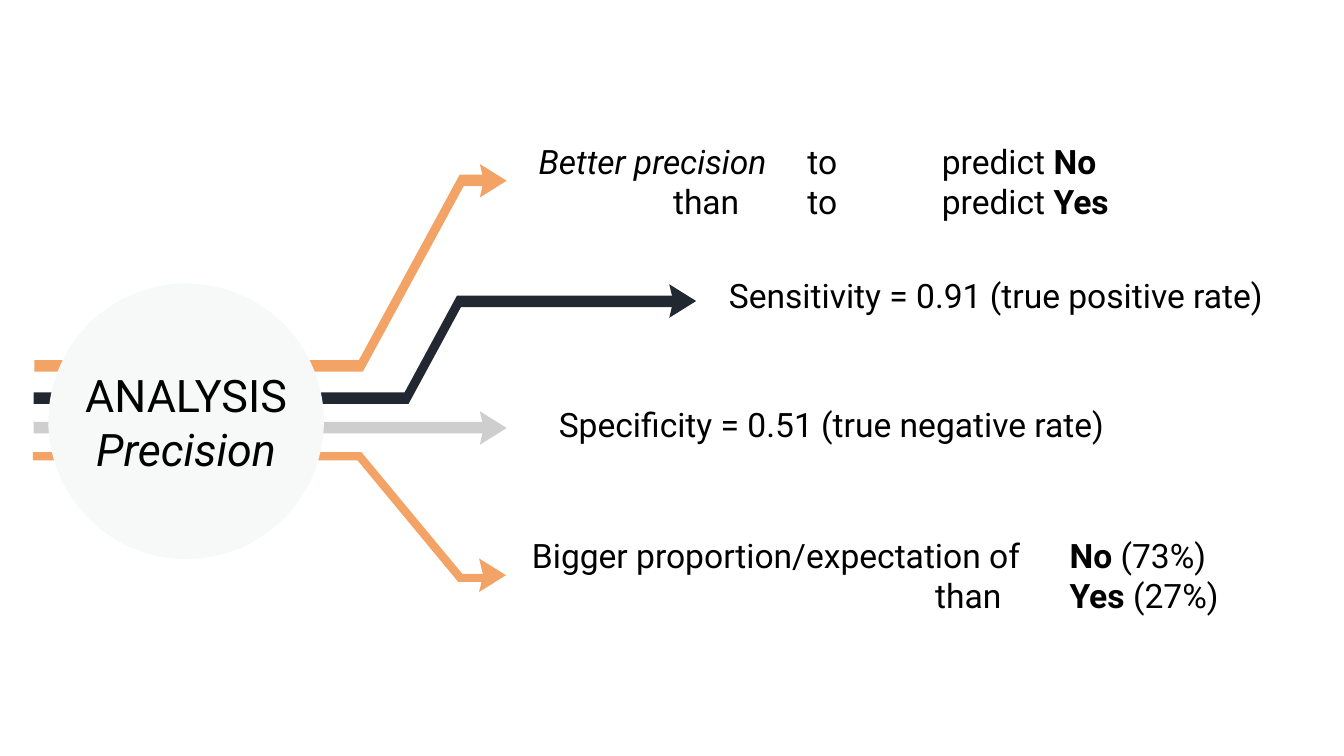
from dataclasses import dataclass

from lxml import etree
from pptx import Presentation
from pptx import util as u
from pptx.dml.color import RGBColor
from pptx.enum import shapes, text
from pptx.oxml.ns import qn

# Grid of square cells: 100 columns by 56.25 rows
COLS, ROWS = 100, 56.25
CELL = u.Inches(0.1)
FONT = "Roboto"
COLORS = {
    "orange": "F2A365",
    "navy": "222831",
    "grey": "CECECE",
    "hub": "F7F9F9",
    "text": "000000",
}


@dataclass(frozen=True)
class Route:
    """A band whose upper edge bends twice, ending in an arrowhead."""
    color: str
    start: tuple[float, float]
    bend_col: float
    level_col: float
    end: tuple[float, float]
    thickness: float
    slant: float  # sideways shift of the lower edge at both bends
    head_row: float


@dataclass(frozen=True)
class Span:
    text: str
    bold: bool = False
    italic: bool = False


@dataclass(frozen=True)
class Note:
    col: float
    row: float
    width: float
    lines: tuple[tuple[Span, ...], ...]


ROUTES = (
    Route("grey", (2.5, 31.4), 27, 34, (36.3, 31.4), 0.85, 0, 31.85),
    Route("orange", (2.55, 26.8), 26.7, 34.2, (36.3, 13), 0.85, 0.3, 13.45),
    Route("navy", (2.5, 29.2), 30.1, 34, (50.4, 22), 0.85, 0.3, 22.4),
    Route("orange", (2.45, 33.65), 26.9, 34.4, (36.25, 42.7), 0.6, -0.3, 42.8),
)
NOTE_HEIGHT = 11.5
TAB_STEP, TAB_COUNT = 10, 5
NOTES = (
    Note(39.1, 7.7, 57, (
        (Span("Better precision", italic=True), Span("\tto \tpredict "),
         Span("No", bold=True)),
        (Span("\tthan \tto \tpredict "), Span("Yes", bold=True)),
    )),
    Note(38.6, 37.05, 57, (
        (Span("Bigger proportion/expectation of \t"), Span("No", bold=True),
         Span(" (73%)")),
        (Span("\t\t\tthan \t"), Span("Yes", bold=True), Span(" (27%)")),
    )),
    Note(40.6, 25.8, 57, ((Span("Specificity = 0.51 (true negative rate)"),),)),
    Note(53.25, 16.2, 44.3, ((Span("Sensitivity = 0.91 (true positive rate)"),),)),
)


def cells(n: float) -> int:
    return round(n * CELL)


def rgb(name: str) -> RGBColor:
    return RGBColor.from_string(COLORS[name])


def paint(sp, color: str) -> None:
    sp.fill.solid()
    sp.fill.fore_color.rgb = rgb(color)
    sp.line.fill.background()
    sp.shadow.inherit = False


def polygon(s, points: list[tuple[float, float]], color: str) -> None:
    first, *rest = [(cells(x), cells(y)) for x, y in points]
    builder = s.shapes.build_freeform(*first, scale=1.0)
    builder.add_line_segments(rest, close=True)
    paint(builder.convert_to_shape(), color)


def draw_route(s, route: Route) -> None:
    (x0, y0), (x1, y1) = route.start, route.end
    upper = [(x0, y0), (route.bend_col, y0), (route.level_col, y1), (x1, y1)]
    shifts = (0, route.slant, route.slant, 0)
    lower = [(x + dx, y + route.thickness) for (x, y), dx in zip(upper, shifts)]
    polygon(s, upper + lower[::-1], route.color)

    back, y = x1 - 0.6, route.head_row
    head = [(back, y - 1.25), (back + 0.3, y), (back, y + 1.25), (back + 2, y)]
    polygon(s, head, route.color)


def style(p, size: int) -> None:
    p.font.name = FONT
    p.font.size = u.Pt(size)
    p.font.color.rgb = rgb("text")


def add_tab_stops(p) -> None:
    tabs = etree.Element(qn("a:tabLst"))
    for i in range(1, TAB_COUNT + 1):
        etree.SubElement(tabs, qn("a:tab"), pos=str(cells(i * TAB_STEP)), algn="l")
    p._p.get_or_add_pPr().insert(0, tabs)


def add_span(p, span: Span) -> None:
    r = p.add_run()
    r.text = span.text
    if span.bold:
        r.font.bold = True
    if span.italic:
        r.font.italic = True


def prepare_frame(sp, wrap: bool):
    tf = sp.text_frame
    tf.word_wrap = wrap
    tf.vertical_anchor = text.MSO_ANCHOR.MIDDLE
    tf.margin_left = tf.margin_right = tf.margin_top = tf.margin_bottom = CELL
    return tf


def draw_hub(s) -> None:
    sp = s.shapes.add_shape(shapes.MSO_SHAPE.OVAL, cells(3.6), cells(21.1),
                            cells(20.5), cells(20.5))
    paint(sp, "hub")
    p = prepare_frame(sp, wrap=False).paragraphs[0]
    p.alignment = text.PP_ALIGN.CENTER
    style(p, 24)
    add_span(p, Span("ANALYSIS"))
    p.add_line_break()
    add_span(p, Span("Precision", italic=True))


def draw_note(s, note: Note) -> None:
    sp = s.shapes.add_textbox(cells(note.col), cells(note.row),
                              cells(note.width), cells(NOTE_HEIGHT))
    tf = prepare_frame(sp, wrap=True)
    for i, line in enumerate(note.lines):
        p = tf.add_paragraph() if i else tf.paragraphs[0]
        style(p, 18)
        add_tab_stops(p)
        for span in line:
            add_span(p, span)


def main() -> None:
    prs = Presentation()
    prs.slide_width, prs.slide_height = cells(COLS), cells(ROWS)
    s = prs.slides.add_slide(prs.slide_layouts[6])
    for route in ROUTES:
        draw_route(s, route)
    draw_hub(s)
    for note in NOTES:
        draw_note(s, note)
    prs.save("out.pptx")


if __name__ == "__main__":
    main()
